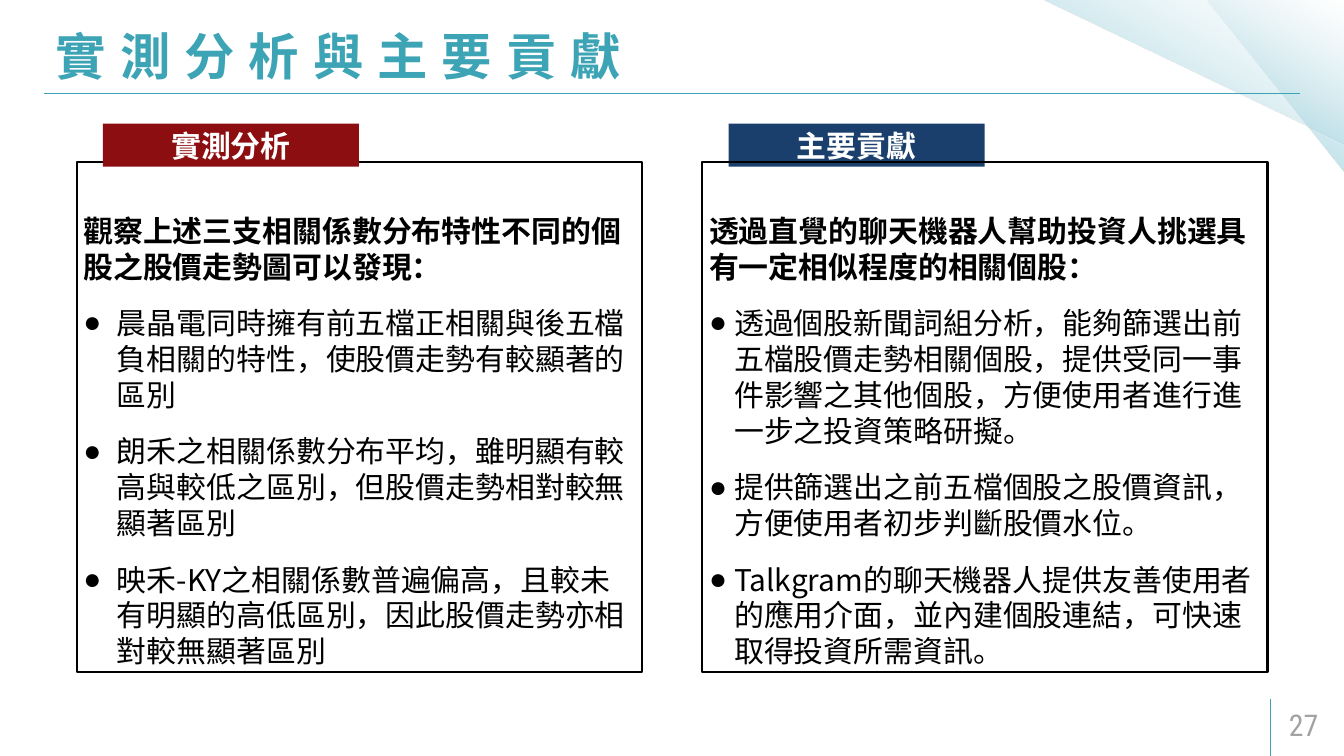
"""Build the slide on test analysis and main contributions."""
import pptx
import pptx.dml.color
import pptx.enum.shapes
import pptx.enum.text
import pptx.oxml
import pptx.oxml.ns
import pptx.util
from lxml import etree

Cm = pptx.util.Cm
Pt = pptx.util.Pt
RGBColor = pptx.dml.color.RGBColor
Shape = pptx.enum.shapes.MSO_SHAPE
Anchor = pptx.enum.text.MSO_ANCHOR
Align = pptx.enum.text.PP_ALIGN
qn = pptx.oxml.ns.qn

TEAL = RGBColor(0x3D, 0xA4, 0xB5)
GREY = RGBColor(0xA2, 0xA2, 0xA2)
BLACK = RGBColor(0, 0, 0)
WHITE = RGBColor(0xFF, 0xFF, 0xFF)
RED = RGBColor(0x8C, 0x0E, 0x10)
NAVY = RGBColor(0x1A, 0x3F, 0x6C)
FADE = [
    (0, RGBColor(0x97, 0xD1, 0xE0), 100),
    (50, RGBColor(0xAA, 0xD7, 0xE2), 44),
    (100, RGBColor(0xE0, 0xF0, 0xF4), 0),
]

TEXT_FONT = "Noto Sans CJK SC"
NUMBER_FONT = "Roboto Condensed"
COLUMN_PITCH = 23.65

ANALYSIS = [
    "晨晶電同時擁有前五檔正相關與後五檔負相關的特性，使股價走勢有較顯著的區別",
    "朗禾之相關係數分布平均，雖明顯有較高與較低之區別，但股價走勢相對較無顯著區別",
    "映禾-KY之相關係數普遍偏高，且較未有明顯的高低區別，因此股價走勢亦相對較無顯著區別",
]
CONTRIBUTIONS = [
    "透過個股新聞詞組分析，能夠篩選出前五檔股價走勢相關個股，提供受同一事件影響之其他個股，方便使用者進行進一步之投資策略研擬。",
    "提供篩選出之前五檔個股之股價資訊，方便使用者初步判斷股價水位。",
    "Talkgram的聊天機器人提供友善使用者的應用介面，並內建個股連結，可快速取得投資所需資訊。",
]


class SlideBuilder:
    """Hold the style and the current slide."""

    def __init__(self, slide):
        self.slide = slide
        self.shapes = slide.shapes

    def place(self, shape, left, top, width, height):
        shape.left, shape.top = Cm(left), Cm(top)
        shape.width, shape.height = Cm(width), Cm(height)

    def frame(self, shape, anchor, side, top, bottom):
        frame = shape.text_frame
        frame.word_wrap = True
        frame.auto_size = pptx.enum.text.MSO_AUTO_SIZE.NONE
        frame.vertical_anchor = anchor
        frame.margin_left = frame.margin_right = Cm(side)
        frame.margin_top, frame.margin_bottom = Cm(top), Cm(bottom)
        return frame

    def span(self, para, text, size, color, bold=False, font=TEXT_FONT):
        span = para.add_run()
        span.text = text
        span.font.size = Pt(size)
        span.font.bold = bold
        span.font.color.rgb = color
        span.font.name = font
        etree.SubElement(span.font._element, qn("a:ea"), typeface=font)
        return span

    def triangle(self, left, width, height):
        shape = self.shapes.add_shape(
            Shape.RIGHT_TRIANGLE, Cm(left), 0, Cm(width), Cm(height))
        shape.rotation = 180
        shape.shadow.inherit = False
        shape.line.fill.background()
        stops = "".join(
            f'<a:gs pos="{position * 1000}"><a:srgbClr val="{color}">'
            f'<a:alpha val="{alpha * 1000}"/></a:srgbClr></a:gs>'
            for position, color, alpha in FADE)
        shape.fill.gradient()
        old = shape.element.spPr.find(qn("a:gradFill"))
        new = pptx.oxml.parse_xml(
            f'<a:gradFill {pptx.oxml.ns.nsdecls("a")} rotWithShape="1">'
            f'<a:gsLst>{stops}</a:gsLst><a:lin ang="7200000" scaled="0"/></a:gradFill>')
        old.getparent().replace(old, new)

    def rule(self, left, top, right, bottom):
        line = self.shapes.add_connector(
            pptx.enum.shapes.MSO_CONNECTOR.STRAIGHT,
            Cm(left), Cm(top), Cm(right), Cm(bottom))
        line.line.color.rgb = TEAL
        line.line.width = Pt(1)
        etree.SubElement(line.element.spPr, qn("a:effectLst"))

    def title(self, text):
        box = self.shapes.title
        self.place(box, 1.65, 0.53, 46.5, 3.12)
        para = self.frame(box, Anchor.MIDDLE, 0.46, 0.23, 0.23).paragraphs[0]
        para.alignment = Align.LEFT
        span = self.span(para, text, 54, TEAL, True)
        span.font._element.set("spc", "1500")

    def number(self, text):
        box = self.shapes.add_textbox(Cm(48.26), Cm(26.64), Cm(2.51), Cm(1.52))
        frame = self.frame(box, Anchor.MIDDLE, 0.46, 0.23, 0.23)
        self.span(frame.paragraphs[0], text, 32, GREY, font=NUMBER_FONT)

    def label(self, column, text, color):
        box = self.shapes.add_shape(
            Shape.RECTANGLE, Cm(3.89 + column * COLUMN_PITCH), Cm(4.67), Cm(9.68), Cm(1.63))
        box.shadow.inherit = False
        box.fill.solid()
        box.fill.fore_color.rgb = color
        box.line.fill.background()
        para = self.frame(box, Anchor.MIDDLE, 0.25, 0, 0).paragraphs[0]
        para.alignment = Align.CENTER
        self.span(para, text, 32, WHITE, True)

    def panel(self, column, heading, points, indent):
        box = self.slide.placeholders[column + 1]
        box.element.getparent().append(box.element)
        self.place(box, 2.9 + column * COLUMN_PITCH, 6.12, 21.36, 19.3)
        box.line.color.rgb = BLACK
        box.line.width = Pt(2.25)
        frame = self.frame(box, Anchor.TOP, 0.25, 1.9, 0)
        for order, text in enumerate([heading, *points]):
            is_heading = order == 0
            para = frame.paragraphs[0] if is_heading else frame.add_paragraph()
            para.line_spacing = Pt(38.5)
            para.space_before = Pt(0 if is_heading else 11)
            para.space_after = Pt(11)
            self.bullet(para, None if is_heading else "●", 0 if is_heading else indent)
            self.span(para, text, 32, BLACK, is_heading)

    def bullet(self, para, mark, indent):
        properties = para._p.get_or_add_pPr()
        properties.set("marL", str(Cm(indent)))
        properties.set("indent", str(-Cm(indent)))
        if mark:
            etree.SubElement(properties, qn("a:buChar"), char=mark)
        else:
            etree.SubElement(properties, qn("a:buNone"))


def main():
    deck = pptx.Presentation()
    deck.slide_width, deck.slide_height = Cm(50.8), Cm(28.58)
    page = SlideBuilder(deck.slides.add_slide(deck.slide_layouts[3]))
    page.triangle(45.62, 5.18, 6.53)
    page.triangle(39.42, 11.38, 5.41)
    page.rule(1.68, 3.53, 49.12, 3.53)
    page.rule(48.03, 28.58, 48.03, 26.42)
    page.title("實測分析與主要貢獻")
    page.number("27")
    page.panel(0, "觀察上述三支相關係數分布特性不同的個股之股價走勢圖可以發現：", ANALYSIS, 1.27)
    page.label(0, "實測分析", RED)
    page.label(1, "主要貢獻", NAVY)
    page.panel(1, "透過直覺的聊天機器人幫助投資人挑選具有一定相似程度的相關個股：", CONTRIBUTIONS, 0.95)
    deck.save("out.pptx")


if __name__ == "__main__":
    main()
